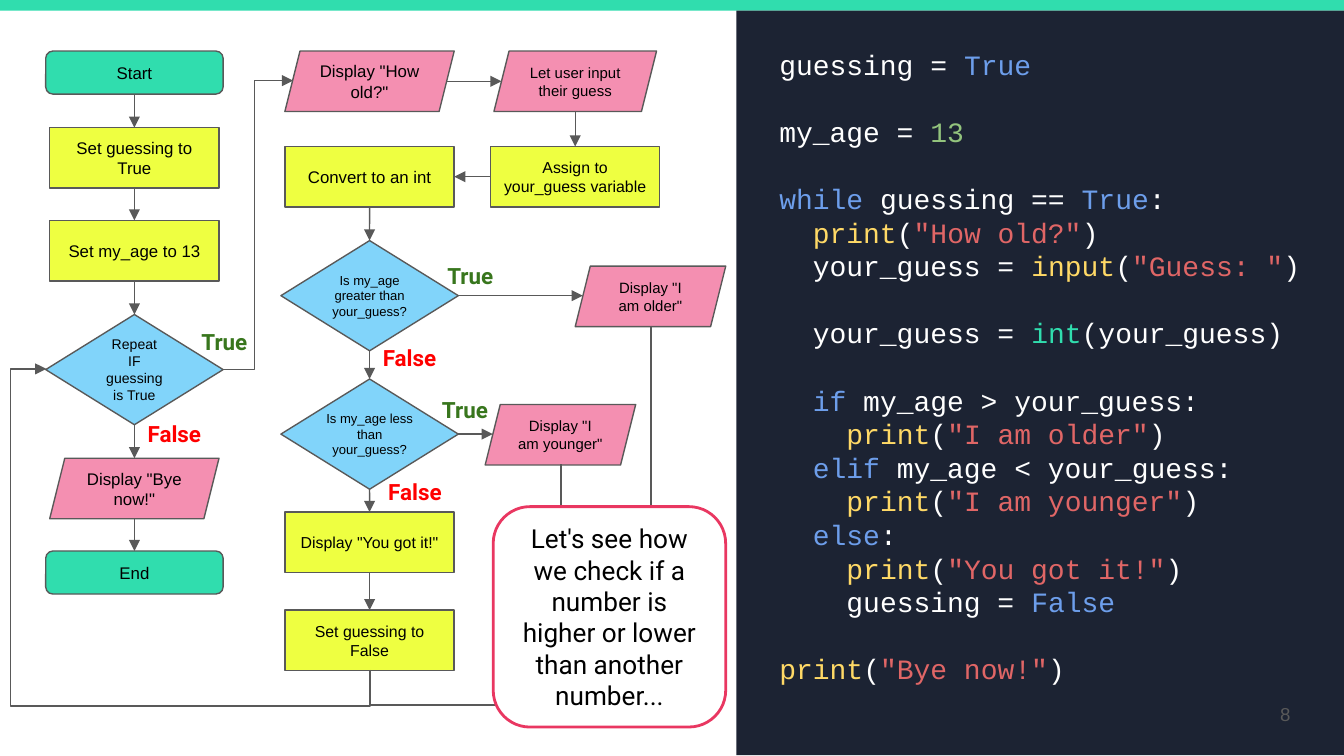
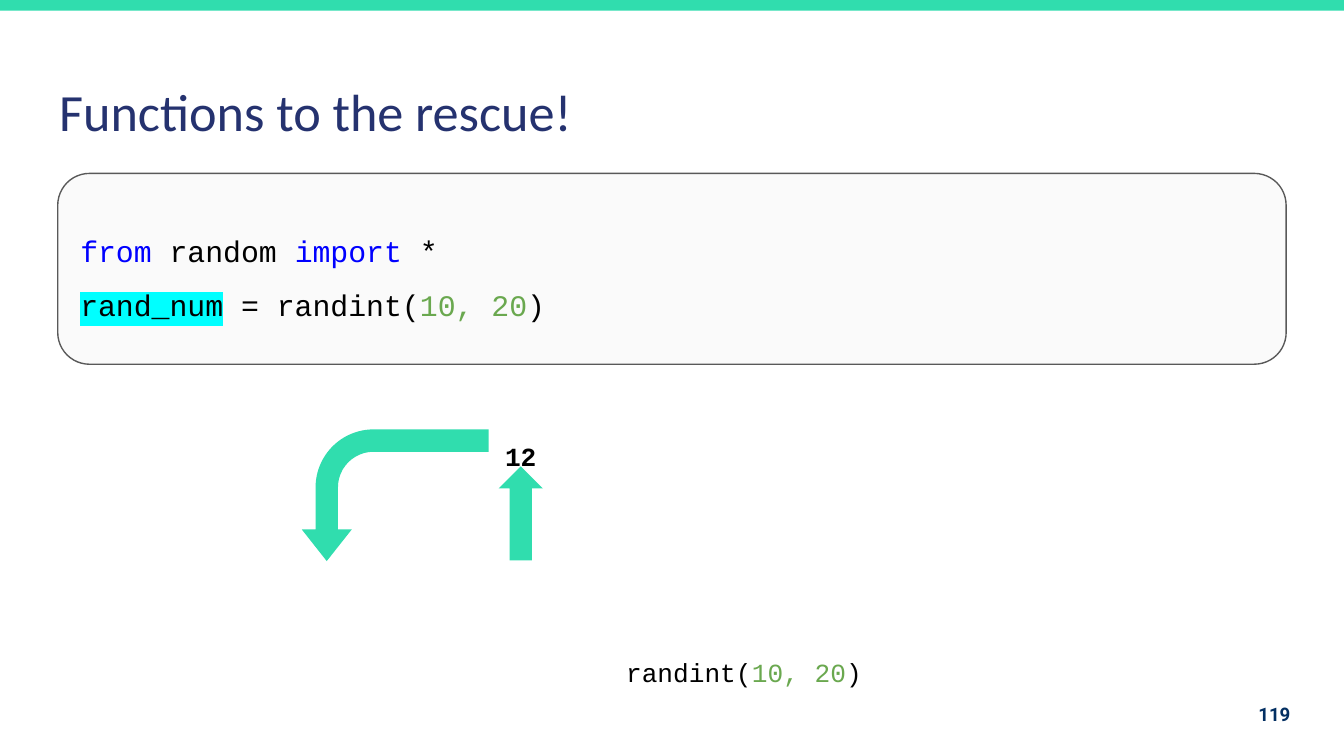
from dataclasses import dataclass

from lxml import etree
from pptx import Presentation
from pptx.dml.color import RGBColor
from pptx.enum.shapes import MSO_CONNECTOR, MSO_SHAPE
from pptx.enum.text import MSO_ANCHOR, MSO_AUTO_SIZE, PP_ALIGN
from pptx.oxml.ns import qn
from pptx.util import Inches, Pt

RECT = MSO_SHAPE.RECTANGLE
ROUND = MSO_SHAPE.ROUNDED_RECTANGLE
SLANT = MSO_SHAPE.PARALLELOGRAM
DIAMOND = MSO_SHAPE.FLOWCHART_DECISION
UP = MSO_SHAPE.UP_ARROW
BENT = MSO_SHAPE.BENT_ARROW
LINE = MSO_CONNECTOR.STRAIGHT
ELBOW = MSO_CONNECTOR.ELBOW
LEFT, MID, RIGHT = PP_ALIGN.LEFT, PP_ALIGN.CENTER, PP_ALIGN.RIGHT
TOP, CENTER = MSO_ANCHOR.TOP, MSO_ANCHOR.MIDDLE


@dataclass
class Theme:
    sans: str = "Arial"
    mono: str = "Courier New"
    label: str = "Roboto"
    head: str = "Calibri"
    mint: str = "30DDAE"
    dark: str = "1C2333"
    gray: str = "595959"
    black: str = "000000"
    white: str = "FFFFFF"
    yellow: str = "EEFF41"
    sky: str = "81D4FA"
    pink: str = "F48FB1"
    rose: str = "E93761"
    pale: str = "FAFAFA"
    navy: str = "25326F"
    ink: str = "032F62"
    yes: str = "38761D"
    no: str = "FF0000"
    word: str = "6D9EEB"
    digit: str = "93C47D"
    call: str = "FFD966"
    quote: str = "E06666"
    blue: str = "0000FF"
    leaf: str = "6AA84F"
    mark: str = "00FFFF"
    title: float = 28
    code: float = 15
    panel: float = 16
    note: float = 14
    branch: float = 12
    page: float = 10
    thin: float = 0.75
    thick: float = 1.5


T = Theme()


def box(slide, kind, at, fill=None, line=None, width=T.thin):
    place = [Inches(n) for n in at]
    if kind is None:
        return slide.shapes.add_textbox(*place)
    shape = slide.shapes.add_shape(kind, *place)
    shape.shadow.inherit = False
    shape.fill.solid()
    shape.fill.fore_color.rgb = RGBColor.from_string(fill)
    if line:
        shape.line.color.rgb = RGBColor.from_string(line)
        shape.line.width = Pt(width)
    else:
        shape.line.fill.background()
    return shape


def write(shape, lines, size, font, align=LEFT, anchor=TOP, bold=False, space=None, pad=0.1):
    frame = shape.text_frame
    frame.word_wrap = True
    frame.auto_size = MSO_AUTO_SIZE.NONE
    frame.vertical_anchor = anchor
    frame.margin_left = frame.margin_right = Inches(pad)
    frame.margin_top = frame.margin_bottom = Inches(pad)
    for i, parts in enumerate(lines):
        para = frame.paragraphs[0] if i == 0 else frame.add_paragraph()
        para.alignment = align
        if space:
            para.line_spacing = space
        for text, color in parts:
            run = para.add_run()
            run.text = text
            run.font.size = Pt(size)
            run.font.name = font
            run.font.bold = bold
            run.font.color.rgb = RGBColor.from_string(color)
    return frame.paragraphs


deck = Presentation()
deck.slide_width = Inches(10)
deck.slide_height = deck.slide_width * 9 // 16
flow = deck.slides.add_slide(deck.slide_layouts[6])
funcs = deck.slides.add_slide(deck.slide_layouts[5])

band = box(flow, RECT, (-0.01, 0, 10.02, 0.08), T.mint)
deck.slide_master.shapes.element.insert(2, band.element)

box(flow, RECT, (5.48, 0.08, 4.53, 5.54), T.dark)
code = [
    (0, 0, [("guessing = ", T.white), ("True", T.word)]),
    (1, 0, [("my_age = ", T.white), ("13", T.digit)]),
    (1, 0, [("while", T.word), (" guessing == ", T.white), ("True", T.word), (":", T.white)]),
    (0, 1, [("print", T.call), ("(", T.white), ('"How old?"', T.quote), (")", T.white)]),
    (0, 1, [("your_guess = ", T.white), ("input", T.call), ("(", T.white),
            ('"Guess: "', T.quote), (")", T.white)]),
    (1, 1, [("your_guess = ", T.white), ("int", T.mint), ("(your_guess)", T.white)]),
    (1, 1, [("if", T.word), (" my_age > your_guess:", T.white)]),
    (0, 2, [("print", T.call), ("(", T.white), ('"I am older"', T.quote), (")", T.white)]),
    (0, 1, [("elif", T.word), (" my_age < your_guess:", T.white)]),
    (0, 2, [("print", T.call), ("(", T.white), ('"I am younger"', T.quote), (")", T.white)]),
    (0, 1, [("else", T.word), (":", T.white)]),
    (0, 2, [("print", T.call), ("(", T.white), ('"You got it!"', T.quote), (")", T.white)]),
    (0, 2, [("guessing = ", T.white), ("False", T.word)]),
    (1, 0, [("print", T.call), ("(", T.white), ('"Bye now!"', T.quote), (")", T.white)]),
]
panel = box(flow, None, (5.7, 0.25, 4.1, 4.85))
paras = write(panel, [parts for gap, depth, parts in code], T.code, T.mono)
for para, (gap, depth, parts) in zip(paras, code):
    para.space_before = Pt(18 * gap)
    props = para._p.get_or_add_pPr()
    props.set("marL", str(Inches(0.25 * depth)))
    props.set("indent", "0")

kinds = {
    "end": (ROUND, T.mint, 1.32, 0.32),
    "step": (RECT, T.yellow, 1.26, 0.45),
    "ask": (DIAMOND, T.sky, 1.32, 0.82),
    "show": (SLANT, T.pink, 1.26, 0.45),
    "get": (SLANT, T.pink, 1.21, 0.45),
    "tell": (SLANT, T.pink, 1.12, 0.45),
}
nodes = [
    ("start", "end", 1, 0.38, "Start", 9, 0.1),
    ("guess", "step", 1, 0.95, "Set guessing to True", 9, 0.1),
    ("age", "step", 1, 1.64, "Set my_age to 13", 9, 0.1),
    ("loop", "ask", 1, 2.34, "Repeat IF guessing is True", 7.5, 0.11),
    ("bye", "show", 1, 3.41, 'Display "Bye now!"', 9, 0.1),
    ("stop", "end", 1, 4.1, "End", 9, 0.1),
    ("old", "show", 2.75, 0.38, 'Display "How old?"', 9, 0.1),
    ("input", "get", 4.28, 0.38, "Let user input their guess", 8, 0.1),
    ("assign", "step", 4.28, 1.09, "Assign to your_guess variable", 8.5, 0.1),
    ("int", "step", 2.75, 1.09, "Convert to an int", 9, 0.1),
    ("more", "ask", 2.75, 1.79, "Is my_age greater than your_guess?", 7, 0),
    ("older", "tell", 4.84, 1.98, 'Display "I am older"', 8, 0.1),
    ("less", "ask", 2.75, 2.82, "Is my_age less than your_guess?", 7, 0),
    ("young", "tell", 4.17, 3.01, 'Display "I am younger"', 8, 0.1),
    ("got", "step", 2.75, 3.81, 'Display "You got it!"', 8.5, 0.1),
    ("reset", "step", 2.75, 4.54, "Set guessing to False", 8.5, 0.1),
]
drawn = {}
for name, kind, mid, top, text, size, pad in nodes:
    form, fill, wide, high = kinds[kind]
    shape = box(flow, form, (mid - wide / 2, top, wide, high), fill, T.gray)
    write(shape, [[(text, T.black)]], size, T.sans, MID, CENTER, pad=pad)
    slope = high / 8 if form == SLANT else 0
    sites = [(mid, top), (mid - wide / 2 + slope, top + high / 2),
             (mid, top + high), (mid + wide / 2 - slope, top + high / 2)]
    drawn[name] = (shape, sites, form != SLANT)

links = [
    ("start", 2, "guess", 0), ("guess", 2, "age", 0), ("age", 2, "loop", 0),
    ("loop", 2, "bye", 0), ("bye", 2, "stop", 0), ("old", 3, "input", 1),
    ("input", 2, "assign", 0), ("assign", 1, "int", 3), ("int", 2, "more", 0),
    ("more", 3, "older", 1), ("more", 2, "less", 0), ("less", 3, "young", 1),
    ("less", 2, "got", 0), ("got", 2, "reset", 0),
]
wires = []
for first, out, last, into in links:
    source, starts, fixed = drawn[first]
    target, ends, held = drawn[last]
    x, y = ends[into]
    if into in (1, 3):
        y = starts[out][1]
    wire = flow.shapes.add_connector(LINE, *[Inches(n) for n in (*starts[out], x, y)])
    if fixed:
        wire.begin_connect(source, out)
    if held:
        wire.end_connect(target, into)
    wires.append((wire, True))

bends = [
    ((1.66, 0.6, 0.52, 2.15), 180, True, "bentConnector3", [0.45], True),
    ((0.43, 2.66, 2.24, 2.41), 90, True, "bentConnector4", [-0.12, 1.11], True),
    ((2.7, 3.51, 1.53, 1.42), 90, False, "bentConnector3", [1.17], False),
    ((2.52, 2.66, 2.56, 2.09), 90, False, "bentConnector3", [1.1], False),
]
for (left, top, wide, high), turn, flip, form, folds, tip in bends:
    ends = [Inches(n) for n in (left, top, left + wide, top + high)]
    wire = flow.shapes.add_connector(ELBOW, *ends)
    frame = wire.element.spPr.find(qn("a:xfrm"))
    frame.set("rot", str(turn * 60000))
    if flip:
        frame.set("flipH", "1")
    shape = wire.element.spPr.find(qn("a:prstGeom"))
    shape.set("prst", form)
    guides = shape.find(qn("a:avLst"))
    for i, fold in enumerate(folds, 1):
        etree.SubElement(guides, qn("a:gd"), name=f"adj{i}", fmla=f"val {round(fold * 100000)}")
    wires.append((wire, tip))

for wire, tip in wires:
    wire.line.color.rgb = RGBColor.from_string(T.gray)
    wire.line.width = Pt(T.thin)
    props = wire.element.spPr
    if tip:
        etree.SubElement(props.find(qn("a:ln")), qn("a:tailEnd"), type="triangle")
    etree.SubElement(props, qn("a:effectLst"))

yes, no = ("True", T.yes, 0.65), ("False", T.no, 0.72)
tags = [(yes, 1.4, 2.34), (yes, 3.23, 1.85), (yes, 3.19, 2.85),
        (no, 1, 3.03), (no, 2.75, 2.46), (no, 2.79, 3.46)]
for (text, color, wide), left, top in tags:
    tag = box(flow, None, (left, top, wide, 0.37))
    write(tag, [[(text, color)]], T.branch, T.label, bold=True)

pages = [(flow, "8", T.sans, T.gray, False), (funcs, "119", T.label, T.ink, True)]
for slide, text, font, color, bold in pages:
    page = box(slide, None, (9.1, 5.1, 0.6, 0.43))
    write(page, [[(text, color)]], T.page, font, RIGHT, CENTER, bold)

hint = box(flow, ROUND, (3.67, 3.77, 1.73, 1.64), T.white, T.rose, T.thick)
text = "Let's see how we check if a number is higher or lower than another number..."
write(hint, [[(text, T.black)]], T.note, T.label, MID, CENTER)

title = funcs.shapes.title
title.left, title.top = Inches(0.34), Inches(0.49)
title.width, title.height = Inches(9.32), Inches(0.63)
write(title, [[("Functions to the rescue!", T.navy)]], T.title, T.head)

rand = [("randint(", T.black), ("10, 20", T.leaf), (")", T.black)]
call = box(funcs, None, (4.56, 4.67, 2.38, 0.56))
write(call, [rand], T.note, T.mono, space=1.5)
box(funcs, UP, (3.71, 3.47, 0.33, 0.7), T.mint)
value = box(funcs, None, (3.66, 3.06, 0.6, 0.56))
write(value, [[("12", T.black)]], T.note, T.mono, bold=True, space=1.5)

arrow = box(funcs, BENT, (2.45, 2.99, 0.98, 1.39), T.mint)
arrow.rotation = 270
arrow.element.spPr.find(qn("a:xfrm")).set("flipH", "1")
for i, fold in enumerate((0.17, 0.19, 0.24, 0.44)):
    arrow.adjustments[i] = fold

sample = box(funcs, ROUND, (0.43, 1.29, 9.14, 1.42), T.pale, T.gray)
lines = [
    [("from", T.blue), (" random ", T.black), ("import", T.blue), (" *", T.black)],
    [("rand_num", T.black), (" = ", T.black)] + rand,
]
paras = write(sample, lines, T.panel, T.mono, anchor=CENTER, space=1.5)
props = paras[1].runs[0].font._element
mark = etree.Element(qn("a:highlight"))
etree.SubElement(mark, qn("a:srgbClr"), val=T.mark)
props.find(qn("a:solidFill")).addnext(mark)

deck.save("out.pptx")
